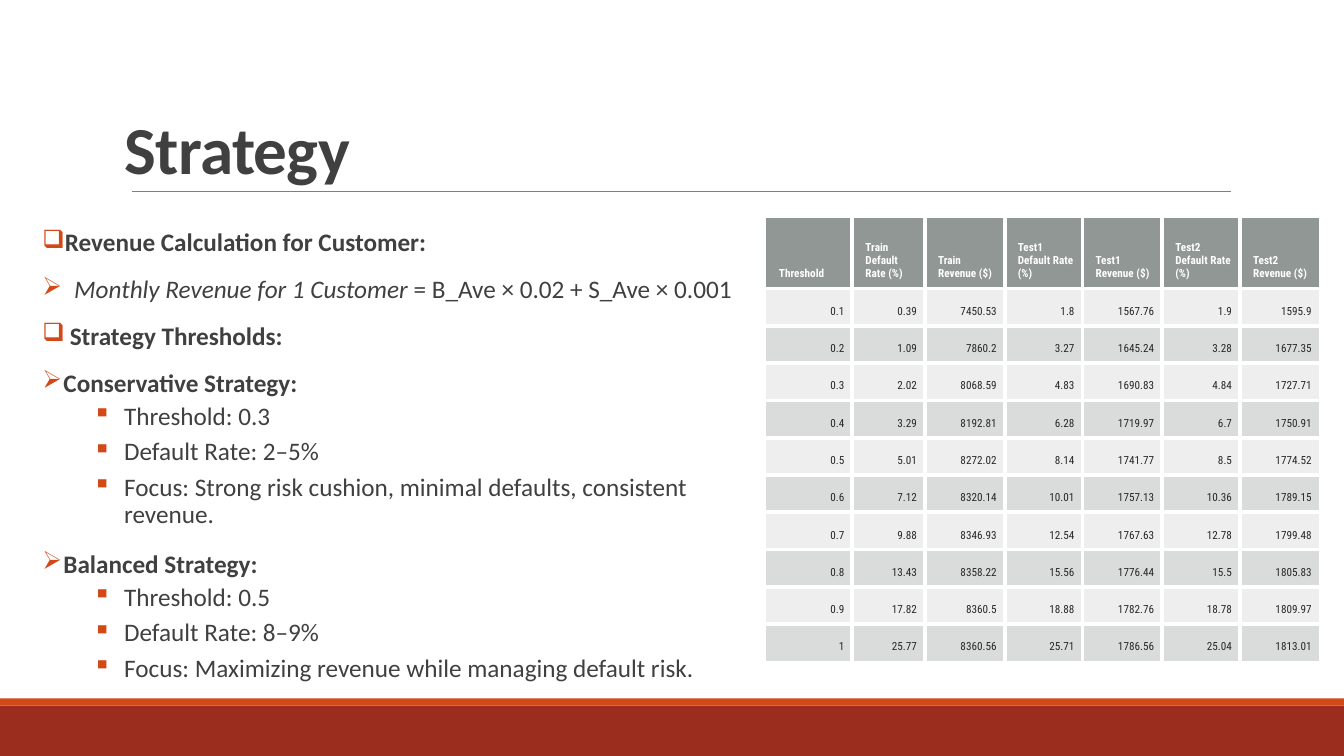
from dataclasses import dataclass

from lxml.etree import SubElement
from pptx import Presentation
from pptx.dml.color import RGBColor
from pptx.enum.shapes import MSO_CONNECTOR, MSO_SHAPE
from pptx.enum.text import MSO_ANCHOR, PP_ALIGN
from pptx.oxml.ns import qn
from pptx.slide import Slide
from pptx.util import Cm, Pt

WHITE = RGBColor(0xFF, 0xFF, 0xFF)
BRICK = RGBColor(0x9B, 0x2D, 0x1F)
ORANGE = RGBColor(0xD3, 0x48, 0x17)
RULE_GRAY = RGBColor(0x80, 0x80, 0x80)
TEXT_GRAY = RGBColor(0x40, 0x40, 0x40)
CELL_TEXT = RGBColor(0x26, 0x26, 0x26)
HEADER_FILL = RGBColor(0x63, 0x6B, 0x68)
BAND_FILL = RGBColor(0x87, 0x8E, 0x8B)

COLUMN_WIDTHS = [2.18, 1.83, 2.01, 1.96, 2.01, 1.96, 2.01]
HEADER_HEIGHT = 1.78
ROW_HEIGHT = 0.94
RESULTS = [
    ["Threshold", "Train Default Rate (%)", "Train Revenue ($)", "Test1 Default Rate (%)",
     "Test1 Revenue ($)", "Test2 Default Rate (%)", "Test2 Revenue ($)"],
    ["0.1", "0.39", "7450.53", "1.8", "1567.76", "1.9", "1595.9"],
    ["0.2", "1.09", "7860.2", "3.27", "1645.24", "3.28", "1677.35"],
    ["0.3", "2.02", "8068.59", "4.83", "1690.83", "4.84", "1727.71"],
    ["0.4", "3.29", "8192.81", "6.28", "1719.97", "6.7", "1750.91"],
    ["0.5", "5.01", "8272.02", "8.14", "1741.77", "8.5", "1774.52"],
    ["0.6", "7.12", "8320.14", "10.01", "1757.13", "10.36", "1789.15"],
    ["0.7", "9.88", "8346.93", "12.54", "1767.63", "12.78", "1799.48"],
    ["0.8", "13.43", "8358.22", "15.56", "1776.44", "15.5", "1805.83"],
    ["0.9", "17.82", "8360.5", "18.88", "1782.76", "18.78", "1809.97"],
    ["1", "25.77", "8360.56", "25.71", "1786.56", "25.04", "1813.01"],
]

BOLD = {"bold": True}
OUTLINE = [
    ("❑", 0.56, [("Revenue Calculation for Customer:", BOLD)]),
    ("➢", 0.8, [("Monthly Revenue for 1 Customer ", {"italic": True}),
                ("= B_Ave × 0.02 + S_Ave × 0.001", {})]),
    ("❑", 0.69, [("Strategy Thresholds:", BOLD)]),
    ("➢", 0.53, [("Conservative Strategy:", BOLD)]),
    ("▪", 2.06, [("Threshold: 0.3", {})]),
    ("▪", 2.06, [("Default Rate: 2–5%", {})]),
    ("▪", 2.06, [("Focus: Strong risk cushion, minimal defaults, consistent revenue.", {})]),
    ("➢", 0.53, [("Balanced Strategy:", BOLD)]),
    ("▪", 2.06, [("Threshold: 0.5", {})]),
    ("▪", 2.06, [("Default Rate: 8–9%", {})]),
    ("▪", 2.06, [("Focus: Maximizing revenue while managing default risk.", {})]),
]


def write_text(para, text, font, size, color, bold=False, italic=False, spacing=None):
    span = para.add_run()
    span.text = text
    span.font.name = font
    span.font.size = Pt(size)
    span.font.color.rgb = color
    span.font.bold = bold
    span.font.italic = italic
    if spacing is not None:
        span.font._element.set("spc", str(int(spacing * 100)))


def set_bullet(para, symbol, margin, hanging):
    properties = para._p.get_or_add_pPr()
    properties.set("marL", str(Cm(margin)))
    properties.set("indent", str(-Cm(hanging)))
    bullet_color = SubElement(properties, qn("a:buClr"))
    SubElement(bullet_color, qn("a:srgbClr")).set("val", str(ORANGE))
    SubElement(properties, qn("a:buChar")).set("char", symbol)


@dataclass
class SlideBuilder:
    slide: Slide
    text_font: str = "Calibri"
    table_font: str = "Roboto Condensed"

    def band(self, left, top, width, height, color):
        shape = self.slide.shapes.add_shape(
            MSO_SHAPE.RECTANGLE, Cm(left), Cm(top), Cm(width), Cm(height))
        shape.shadow.inherit = False
        shape.fill.solid()
        shape.fill.fore_color.rgb = color
        shape.line.fill.background()

    def rule(self, left, right, top):
        line = self.slide.shapes.add_connector(
            MSO_CONNECTOR.STRAIGHT, Cm(left), Cm(top), Cm(right), Cm(top))
        line.line.color.rgb = RULE_GRAY
        line.line.width = Pt(0.5)
        SubElement(line._element.spPr, qn("a:effectLst"))

    def text_box(self, left, top, width, height, anchor):
        box = self.slide.shapes.add_textbox(Cm(left), Cm(top), Cm(width), Cm(height))
        box.text_frame.word_wrap = True
        box.text_frame.vertical_anchor = anchor
        return box.text_frame

    def title(self, text, left, top, width, height):
        frame = self.text_box(left, top, width, height, MSO_ANCHOR.MIDDLE)
        para = frame.paragraphs[0]
        para.line_spacing = 0.85
        write_text(para, text, self.text_font, 48, TEXT_GRAY, bold=True, spacing=-0.5)

    def outline(self, items, left, top, width, height):
        frame = self.text_box(left, top, width, height, MSO_ANCHOR.TOP)
        frame.margin_left = frame.margin_right = 0
        frame.margin_top = Cm(0.44)
        for index, (symbol, margin, spans) in enumerate(items):
            para = frame.add_paragraph() if index else frame.paragraphs[0]
            nested = symbol == "▪"
            para.level = 1 if nested else 0
            para.line_spacing = 0.9
            if index:
                para.space_before = Pt(2 if nested else 12)
            para.space_after = Pt(4 if nested else 2)
            set_bullet(para, symbol, margin, 0.79 if nested else margin)
            for text, style in spans:
                write_text(para, text, self.text_font, 18, TEXT_GRAY, **style)

    def table(self, rows, left, top):
        last_row, last_column = len(rows) - 1, len(COLUMN_WIDTHS) - 1
        heights = [HEADER_HEIGHT] + [ROW_HEIGHT] * last_row
        grid = self.slide.shapes.add_table(
            len(rows), len(COLUMN_WIDTHS), Cm(left), Cm(top),
            Cm(sum(COLUMN_WIDTHS)), Cm(sum(heights))).table
        grid.first_row = grid.horz_banding = False
        for column, width in zip(grid.columns, COLUMN_WIDTHS):
            column.width = Cm(width)
        for row_index, values in enumerate(rows):
            grid.rows[row_index].height = Cm(heights[row_index])
            for column_index, text in enumerate(values):
                inner_sides = {
                    "a:lnL": column_index > 0, "a:lnR": column_index < last_column,
                    "a:lnT": row_index > 0, "a:lnB": row_index < last_row}
                sides = [side for side, inner in inner_sides.items() if inner]
                self.cell(grid.cell(row_index, column_index), text, row_index, sides)

    def cell(self, cell, text, row_index, sides):
        header = row_index == 0
        cell.vertical_anchor = MSO_ANCHOR.BOTTOM
        cell.margin_left = Cm(0.33)
        cell.margin_right = cell.margin_top = cell.margin_bottom = Cm(0.2)
        properties = cell._tc.get_or_add_tcPr()
        for side in sides:
            border = SubElement(properties, qn(side), w=str(Pt(3)))
            border_fill = SubElement(border, qn("a:solidFill"))
            SubElement(border_fill, qn("a:srgbClr")).set("val", str(WHITE))
        cell.fill.solid()
        cell.fill.fore_color.rgb = HEADER_FILL if header else BAND_FILL
        opacity = 70 if header else 15 if row_index % 2 else 30
        fill_color = properties.find(qn("a:solidFill")).find(qn("a:srgbClr"))
        SubElement(fill_color, qn("a:alpha")).set("val", str(opacity * 1000))
        para = cell.text_frame.paragraphs[0]
        para.alignment = PP_ALIGN.LEFT if header else PP_ALIGN.RIGHT
        write_text(para, text, self.table_font, 8, WHITE if header else CELL_TEXT, bold=header)


def main():
    deck = Presentation()
    deck.slide_width, deck.slide_height = Cm(33.87), Cm(19.05)
    page = SlideBuilder(deck.slides.add_slide(deck.slide_layouts[6]))
    page.band(0, 17.78, 33.87, 1.27, BRICK)
    page.band(0, 17.6, 33.87, 0.18, ORANGE)
    page.rule(3.33, 31.01, 4.83)
    page.title("Strategy", 2.9, 2.44, 14.05, 2.87)
    page.outline(OUTLINE, 1.07, 5.36, 17.73, 13.21)
    page.table(RESULTS, 19.3, 5.49)
    deck.save("out.pptx")


if __name__ == "__main__":
    main()
